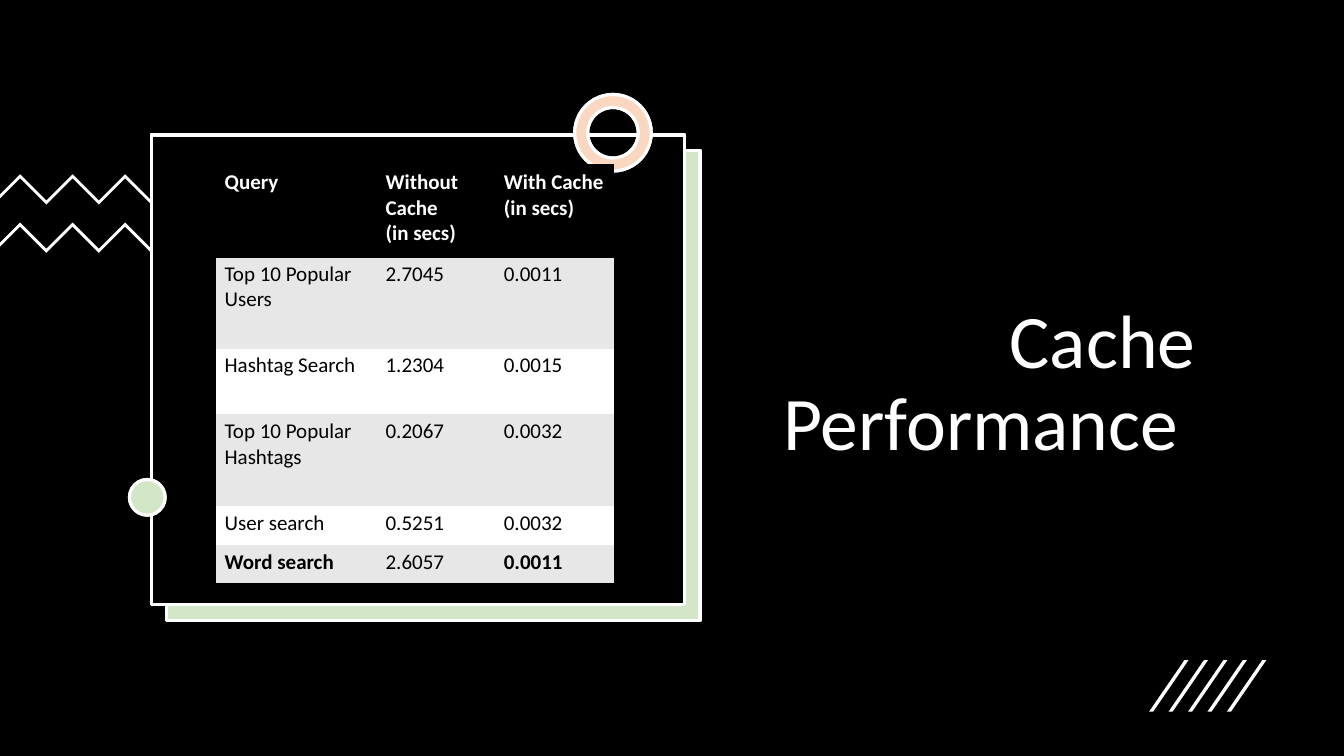
from lxml import etree
from pptx import Presentation
from pptx.dml.color import RGBColor as RGB
from pptx.enum.shapes import MSO_SHAPE as SHAPE
from pptx.enum.text import MSO_ANCHOR as ANCHOR, PP_ALIGN as ALIGN
from pptx.oxml.ns import qn
from pptx.util import Pt

COLORS = {"black": "000000", "white": "FFFFFF", "band": "E7E7E7",
          "green": "70AD47", "orange": "ED7D31"}
FONT = "Calibri"
TITLE = "Cache Performance "
ROWS = [
    ("Query", "Without Cache\n(in secs)", "With Cache\n(in secs)"),
    ("Top 10 Popular Users", "2.7045", "0.0011"),
    ("Hashtag Search", "1.2304", "0.0015"),
    ("Top 10 Popular Hashtags", "0.2067", "0.0032"),
    ("User search", "0.5251", "0.0032"),
    ("Word search", "2.6057", "0.0011"),
]
BOLD_CELLS = {(0, 0), (0, 1), (0, 2), (5, 0), (5, 2)}
COL_WIDTHS = (115, 84.5, 84.5)
ROW_HEIGHTS = (65.5, 65.5, 47, 65.5, 28, 28)
TABLE_AT = (154.5, 118)
SLIDE = (960, 540)
PANEL = (108, 96.5, 381, 335.5)
PANEL_SHADE = (119, 107.5, 381, 335.5)
DOT = (92.5, 342.5, 25.5, 25.5)
RING = (410.5, 67.5, 54.7, 54.7)
RING_BAND = 0.17
ZIGZAG_TOPS = (124.5, 159)
SLASH_AT, SLASH_STEP, SLASH_COUNT = (820.8, 471.6), 13.9, 5

prs = Presentation()
prs.slide_width, prs.slide_height = map(Pt, SLIDE)
shapes = prs.slides.add_slide(prs.slide_layouts[6]).shapes


def rgb(name):
    return RGB.from_string(COLORS[name])


def paint(sp, fill=None, line=None, alpha=None):
    """Set fill, outline and opacity (percent), without a shadow."""
    sp.shadow.inherit = False
    if fill:
        sp.fill.solid()
        sp.fill.fore_color.rgb = rgb(fill)
        if alpha:
            color = sp._element.spPr.find(qn("a:solidFill"))[0]
            etree.SubElement(color, qn("a:alpha"), val=str(alpha * 1000))
    else:
        sp.fill.background()
    if line:
        sp.line.color.rgb = rgb(line)
        sp.line.width = Pt(2.25)
    else:
        sp.line.fill.background()


def add_preset(kind, box, **style):
    sp = shapes.add_shape(kind, *map(Pt, box))
    paint(sp, **style)
    return sp


def add_tinted(kind, box, tint):
    """Lay a translucent tint over a white shape; return both."""
    return [add_preset(kind, box, fill="white", line="white"),
            add_preset(kind, box, fill=tint, line="white", alpha=30)]


def add_outline(points):
    pts = [(Pt(x), Pt(y)) for x, y in points]
    builder = shapes.build_freeform(*pts[0])
    builder.add_line_segments(pts[1:], close=True)
    paint(builder.convert_to_shape(), fill="white")


def add_zigzag(top):
    peaks = [(14.4 + 18.75 * i, 18.75 * (i % 2)) for i in range(7)]
    upper = [(0, 14.4)] + peaks + [(146.9, 19.4)]
    lower = [(0, 17.3)] + [(x, y + 2.9) for x, y in peaks] + [(144.7, 20.9)]
    add_outline([(x, top + y) for x, y in upper + lower[::-1]])


def write(tf, text, size, color, bold=False, align=ALIGN.LEFT, spacing=None, after=None):
    for i, part in enumerate(text.split("\n")):
        p = tf.add_paragraph() if i else tf.paragraphs[0]
        p.alignment = align
        if spacing:
            p.line_spacing = spacing
        if after:
            p.space_after = Pt(after)
        r = p.add_run()
        r.text = part
        r.font.name, r.font.size, r.font.bold = FONT, Pt(size), bold
        r.font.color.rgb = rgb(color)


def add_borders(cell, sides):
    tcPr = cell._tc.get_or_add_tcPr()
    for i, side in enumerate(sides):
        ln = etree.Element(qn("a:ln" + side), w=str(Pt(2)))
        fill = etree.SubElement(ln, qn("a:solidFill"))
        etree.SubElement(fill, qn("a:srgbClr"), val=COLORS["black"])
        tcPr.insert(i, ln)


def add_results_table():
    frame = shapes.add_table(len(ROWS), len(COL_WIDTHS), *map(Pt, TABLE_AT),
                             Pt(sum(COL_WIDTHS)), Pt(sum(ROW_HEIGHTS)))
    table = frame.table
    table.first_row = table.horz_banding = False
    style = next(frame._element.iter(qn("a:tableStyleId")))
    style.text = "{2D5ABB26-0587-4C30-8999-92F81FD0307C}"
    for col, width in zip(table.columns, COL_WIDTHS):
        col.width = Pt(width)
    for r, (row, height) in enumerate(zip(ROWS, ROW_HEIGHTS)):
        table.rows[r].height = Pt(height)
        fill = "black" if r == 0 else ("white", "band")[r % 2]
        for c, text in enumerate(row):
            cell = table.cell(r, c)
            cell.margin_left = cell.margin_right = Pt(6)
            cell.margin_top = cell.margin_bottom = Pt(3)
            cell.fill.solid()
            cell.fill.fore_color.rgb = rgb(fill)
            write(cell.text_frame, text, 15, "black" if r else "white",
                  bold=(r, c) in BOLD_CELLS)
            if r in (0, len(ROWS) - 1):
                add_borders(cell, "B" if r else "TB")


add_preset(SHAPE.RECTANGLE, (0, 0, *SLIDE), fill="black")

tf = shapes.add_textbox(Pt(530), Pt(54), Pt(331), Pt(283)).text_frame
tf.word_wrap = True
tf.vertical_anchor = ANCHOR.BOTTOM
write(tf, TITLE, 54, "white", align=ALIGN.RIGHT, spacing=0.9, after=6)

add_tinted(SHAPE.RECTANGLE, PANEL_SHADE, "green")
for top in ZIGZAG_TOPS:
    add_zigzag(top)
add_preset(SHAPE.RECTANGLE, PANEL, fill="black", line="white")
add_preset(SHAPE.RECTANGLE, PANEL, line="white")
add_tinted(SHAPE.OVAL, DOT, "green")
for ring in add_tinted(SHAPE.DONUT, RING, "orange"):
    ring.adjustments[0] = RING_BAND

for i in range(SLASH_COUNT):
    x, y = SLASH_AT[0] + i * SLASH_STEP, SLASH_AT[1]
    add_outline([(x + 2.9, y + 36.7), (x, y + 36.7), (x + 25.2, y), (x + 28.1, y)])

add_results_table()
prs.save("out.pptx")
